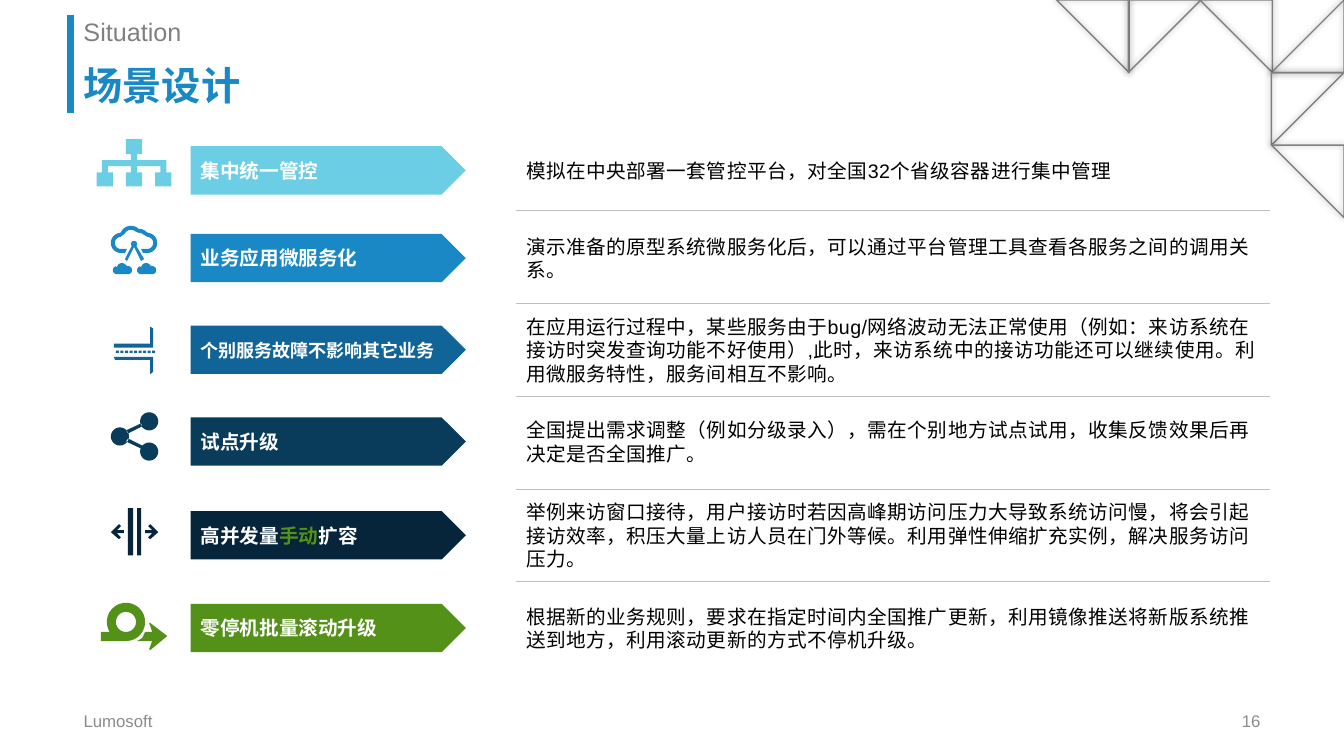
from dataclasses import dataclass
from math import cos, radians, sin
from typing import Callable

from lxml import etree
from pptx import Presentation
from pptx.dml.color import RGBColor
from pptx.enum.shapes import MSO_CONNECTOR, MSO_SHAPE
from pptx.enum.text import MSO_ANCHOR as Anchor, MSO_AUTO_SIZE as AutoSize, PP_ALIGN as Align
from pptx.oxml import parse_xml
from pptx.oxml.ns import nsdecls, qn
from pptx.util import Inches, Pt


@dataclass(frozen=True)
class Theme:
    font: str = "Arial"
    sky: str = "6CCEE5"
    blue: str = "1988C5"
    steel: str = "116497"
    navy: str = "093C5B"
    night: str = "06243A"
    green: str = "549118"
    white: str = "FFFFFF"
    black: str = "000000"
    gray: str = "808080"
    footer: str = "8C8C8C"
    rule: str = "BFBFBF"
    title_size: float = 28
    subtitle_size: float = 18
    body_size: float = 14
    tight_size: float = 12.9
    small_size: float = 12


THEME = Theme()


@dataclass(frozen=True)
class Row:
    top: float
    color: str
    label: tuple
    text: str
    lines: int
    icon: Callable
    icon_at: tuple
    label_size: float = THEME.body_size


def rect(x, y, w, h):
    return [(x, y), (x + w, y), (x + w, y + h), (x, y + h)]


def arc(x, y, radius, start, stop):
    """Points on a circle; degrees run clockwise from the right."""
    angles = [radians(start + (stop - start) * i / 24) for i in range(25)]
    return [(x + radius * cos(a), y + radius * sin(a)) for a in angles]


def hierarchy_icon():
    parts = [rect(0.29, 0, 0.16, 0.15), rect(0.34, 0.15, 0.06, 0.06), rect(0.05, 0.21, 0.64, 0.06)]
    for x in (0, 0.29, 0.58):
        parts += [rect(x + 0.05, 0.27, 0.06, 0.06), rect(x, 0.33, 0.16, 0.14)]
    return parts


def cloud_icon():
    def cloud(inset):
        return [(0.14 + inset / 2, 0.27 - inset), *arc(0.1, 0.17, 0.1 - inset, 90, 265),
                *arc(0.2, 0.11, 0.11 - inset, 205, 315), *arc(0.28, 0.13, 0.1 - inset, 270, 315),
                *arc(0.36, 0.17, 0.1 - inset, -85, 90), (0.32 - inset / 2, 0.27 - inset)]

    legs = arc(0.23, 0.18, 0.03, 140, 400) + [
        (0.33, 0.33), (0.3, 0.35), (0.23, 0.21), (0.16, 0.35), (0.14, 0.33)]
    puffs = [arc(x + 0.04, 0.44, 0.04, 90, 250) + arc(x + 0.09, 0.42, 0.05, 190, 330)
             + arc(x + 0.15, 0.44, 0.04, -90, 90) for x in (0.02, 0.26)]
    return [cloud(0) + cloud(0.04)[::-1], legs, *puffs]


def detour_icon():
    upper = [(0, 0.17), (0.36, 0.17), (0.36, 0), (0.39, 0.02), (0.39, 0.21), (0, 0.21)]
    lower = [(0, 0.3), (0.39, 0.3), (0.39, 0.45), (0.36, 0.47), (0.36, 0.33), (0.01, 0.33)]
    return [upper, lower] + [rect(0.02 + 0.045 * i, 0.24, 0.03, 0.02) for i in range(9)]


def share_icon():
    link = [(0.15, 0.18), (0.3, 0.11), (0.31, 0.14), (0.17, 0.21)]
    mirrored = [(x, 0.47 - y) for x, y in link]
    nodes = [arc(x, y, 0.09, 0, 360) for x, y in ((0.38, 0.09), (0.09, 0.24), (0.38, 0.39))]
    return [link, mirrored, *nodes]


def expand_icon():
    arrow = [(0.39, 0.16), (0.47, 0.24), (0.39, 0.31), (0.37, 0.29), (0.41, 0.25),
             (0.34, 0.25), (0.34, 0.22), (0.41, 0.22), (0.37, 0.18)]
    mirrored = [(0.47 - x, y) for x, y in arrow]
    return [arrow, mirrored, rect(0.17, 0, 0.05, 0.47), rect(0.26, 0, 0.04, 0.47)]


def rolling_icon():
    loop = [(0, 0.38), (0, 0.29), (0.09, 0.29)] + arc(0.25, 0.19, 0.19, 148, 450)
    hole = arc(0.25, 0.19, 0.1, 360, 0)
    arrow = [(0.36, 0.38), (0.41, 0.35), (0.44, 0.29), (0.51, 0.29), (0.48, 0.2), (0.49, 0.2),
             (0.66, 0.33), (0.49, 0.47), (0.48, 0.46), (0.51, 0.38)]
    return [loop, hole, arrow]


ROWS = [
    Row(1.45, THEME.sky, ("集中统一管控",),
        "模拟在中央部署一套管控平台，对全国32个省级容器进行集中管理",
        1, hierarchy_icon, (0.96, 1.38)),
    Row(2.32, THEME.blue, ("业务应用微服务化",),
        "演示准备的原型系统微服务化后，可以通过平台管理工具查看各服务之间的调用关系。",
        2, cloud_icon, (1.1, 2.24)),
    Row(3.23, THEME.steel, ("个别服务故障不影响其它业务",),
        "在应用运行过程中，某些服务由于bug/网络波动无法正常使用（例如：来访系统在接访时突发查询功能不好使用）"
        ",此时，来访系统中的接访功能还可以继续使用。利用微服务特性，服务间相互不影响。",
        3, detour_icon, (1.13, 3.24), THEME.tight_size),
    Row(4.14, THEME.navy, ("试点升级",),
        "全国提出需求调整（例如分级录入），需在个别地方试点试用，收集反馈效果后再决定是否全国推广。",
        2, share_icon, (1.1, 4.09)),
    Row(5.07, THEME.night, ("高并发量", "手动", "扩容"),
        "举例来访窗口接待，用户接访时若因高峰期访问压力大导致系统访问慢，将会引起接访效率，"
        "积压大量上访人员在门外等候。利用弹性伸缩扩充实例，解决服务访问压力。",
        3, expand_icon, (1.1, 5.04)),
    Row(5.99, THEME.green, ("零停机批量滚动升级",),
        "根据新的业务规则，要求在指定时间内全国推广更新，利用镜像推送将新版系统推送到地方，"
        "利用滚动更新的方式不停机升级。",
        2, rolling_icon, (1, 5.98)),
]


def style(span, size, color, bold=False):
    span.font.name, span.font.size, span.font.bold = THEME.font, Pt(size), bold
    span.font.color.rgb = RGBColor.from_string(color)


def add_text(page, box, text, size, color, anchor=Anchor.MIDDLE, align=Align.LEFT):
    shape = page.shapes.add_textbox(*map(Inches, box))
    frame = shape.text_frame
    frame.word_wrap, frame.vertical_anchor, frame.text = True, anchor, text
    frame.paragraphs[0].alignment = align
    style(frame.paragraphs[0].runs[0], size, color)
    return shape


def add_line(page, start, end, color, width):
    line = page.shapes.add_connector(MSO_CONNECTOR.STRAIGHT, *map(Inches, start + end))
    line.line.color.rgb, line.line.width = RGBColor.from_string(color), Pt(width)
    etree.SubElement(line._element.spPr, qn("a:effectLst"))


def add_corner(page, left, side):
    """Shadowed triangles down the right-hand corner of the page."""
    cells = [(0, 0, 180), (1, 0, 90), (2, 0, 180), (3, 0, 270), (3, 1, 90), (3, 2, 180)]
    for column, line, turn in cells:
        triangle = page.shapes.add_shape(
            MSO_SHAPE.RIGHT_TRIANGLE, Inches(left + column * 0.71), Inches(line * side),
            Inches(side), Inches(side))
        triangle.rotation = turn
        triangle.fill.background()
        triangle.line.color.rgb, triangle.line.width = RGBColor.from_string(THEME.gray), Pt(1)
        triangle.shadow.inherit = False
        triangle._element.spPr.find(qn("a:effectLst")).append(parse_xml(
            f'<a:outerShdw {nsdecls("a")} blurRad="{Pt(5)}" dist="0" dir="0" algn="ctr">'
            '<a:srgbClr val="000000"><a:alpha val="40000"/></a:srgbClr></a:outerShdw>'))


def add_header(page, left, top, width):
    add_line(page, (left - 0.03, top), (left - 0.03, top + 0.97), THEME.blue, 5)
    title = page.shapes.title
    title.left, title.top, title.width, title.height = map(Inches, (left, top + 0.39, width, 0.59))
    frame = title.text_frame
    frame.text, frame.vertical_anchor, frame.auto_size = "场景设计", Anchor.BOTTOM, AutoSize.NONE
    frame.paragraphs[0].alignment, frame.paragraphs[0].line_spacing = Align.LEFT, 0.9
    style(frame.paragraphs[0].runs[0], THEME.title_size, THEME.blue, True)
    subtitle = add_text(page, (left, top, width, 0.39), "Situation", THEME.subtitle_size,
                        THEME.gray, Anchor.TOP)
    subtitle.text_frame.paragraphs[0].line_spacing = 0.9


def add_footer(page, left, top, right):
    width, height = 3.18, 0.4
    add_text(page, (left, top, width, height), "Lumosoft", THEME.small_size, THEME.footer)
    add_text(page, (right - width, top, width, height), "16", THEME.small_size, THEME.footer,
             align=Align.RIGHT)


def add_icon(page, left, top, outlines, color):
    points = [[(Inches(x), Inches(y)) for x, y in outline] for outline in outlines]
    builder = page.shapes.build_freeform(*points[0][0])
    for index, outline in enumerate(points):
        if index:
            builder.move_to(*outline[0])
        builder.add_line_segments(outline[1:], close=True)
    paint(builder.convert_to_shape(Inches(left), Inches(top)), color)


def paint(shape, color):
    shape.fill.solid()
    shape.fill.fore_color.rgb = RGBColor.from_string(color)
    shape.line.fill.background()
    shape.shadow.inherit = False


def add_row(page, row, label_left, text_left, right):
    height = 0.48
    add_icon(page, *row.icon_at, row.icon(), row.color)
    banner = page.shapes.add_shape(
        MSO_SHAPE.PENTAGON, *map(Inches, (label_left, row.top, 2.73, height)))
    paint(banner, row.color)
    banner.text_frame.word_wrap, banner.text_frame.vertical_anchor = True, Anchor.MIDDLE
    para = banner.text_frame.paragraphs[0]
    para.alignment = Align.LEFT
    for index, piece in enumerate(row.label):
        span = para.add_run()
        span.text = piece
        style(span, row.label_size, THEME.green if index == 1 else THEME.white, True)
    text_height = 0.1 + 0.24 * row.lines
    box = (text_left, row.top + (height - text_height) / 2, right - text_left, text_height)
    detail = add_text(page, box, row.text, THEME.body_size, THEME.black)
    detail.text_frame.auto_size = AutoSize.SHAPE_TO_FIT_TEXT
    detail.text_frame.paragraphs[0].runs[0]._r.get_or_add_rPr().set("spc", "30")


def main():
    deck = Presentation()
    deck.slide_width, deck.slide_height = Inches(13.33), Inches(7.5)
    page = deck.slides.add_slide(deck.slide_layouts[5])
    left, right, text_left = 0.73, 12.6, 5.12
    add_corner(page, 10.48, 0.72)
    add_header(page, left, 0.15, right - left)
    add_footer(page, left, 6.95, right)
    for row in ROWS:
        add_row(page, row, 1.89, text_left, right)
    for index in range(len(ROWS) - 1):
        y = 2.09 + 0.92 * index
        add_line(page, (text_left, y), (right, y), THEME.rule, 0.25)
    deck.save("out.pptx")


if __name__ == "__main__":
    main()
